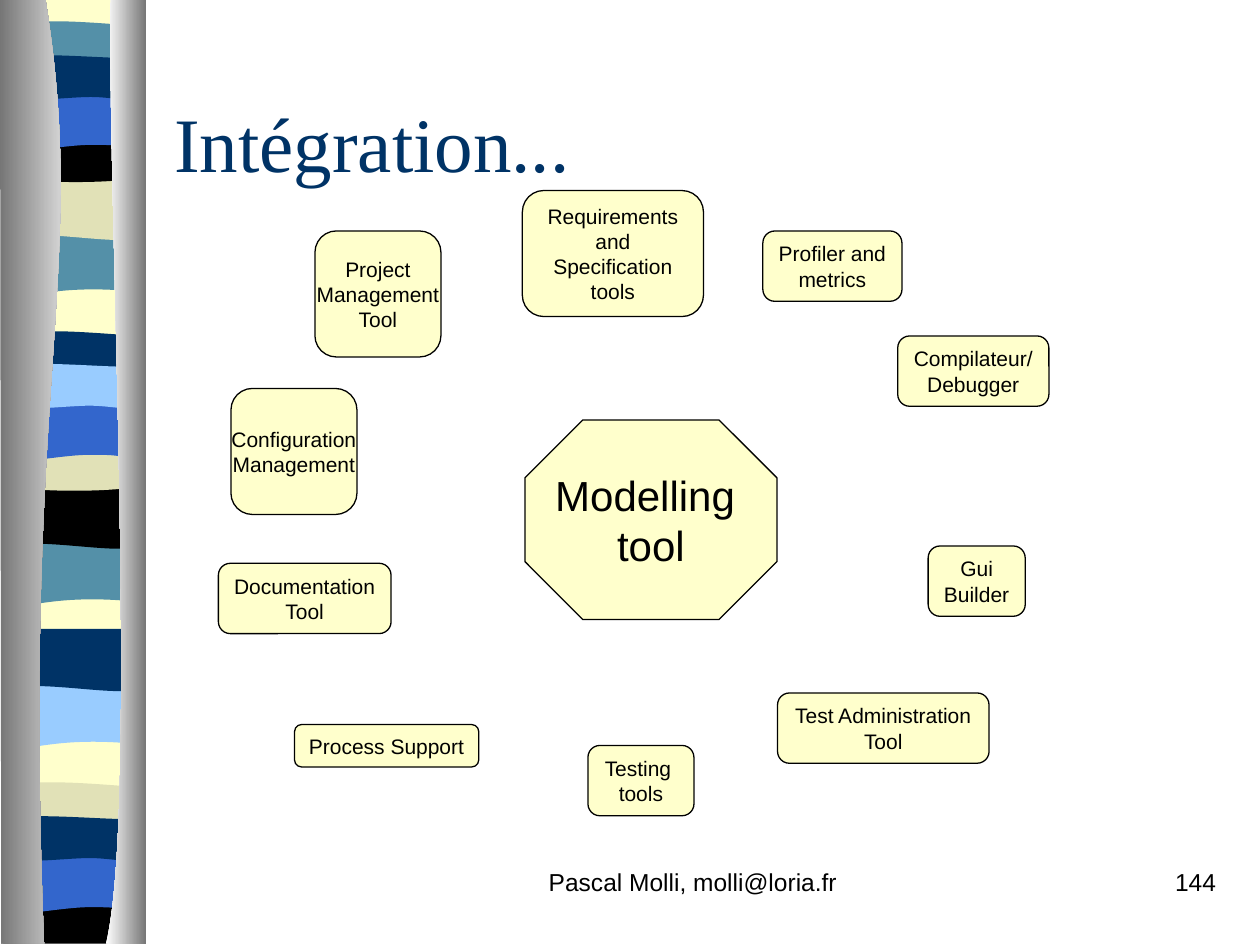
from pptx import Presentation
from pptx.dml.color import RGBColor
from pptx.enum.shapes import MSO_SHAPE as Shape
from pptx.enum.text import MSO_ANCHOR as Anchor, PP_ALIGN as Align
from pptx.oxml.ns import qn
from pptx.util import Inches, Pt

WIDTH, HEIGHT = Inches(10), Inches(7.5)
COLUMN, ROW = WIDTH / 120, HEIGHT / 90
FINE = WIDTH / 1000

COLORS = {
    "cream": "FFFFCC", "teal": "5490A8", "sand": "E1E1B7", "black": "000000",
    "blue": "3366CC", "navy": "003366", "sky": "99CCFF", "gray": "767676", "white": "FFFFFF",
}

BAND_OUTLINES = {
    "plain": [(108, 0), (108, 748), (0, 748), (0, 0)],
    "wave": [(108, 0), (108, 47), (33, 39, 18, 55, 0, 47), (0, 0)],
    "hollow": [(108, 0), (108, 47), (90, 55, 33, 41, 0, 47), (0, 0)],
    "cap": [(108, 5), (108, 29), (90, 33, 18, 33, 0, 29), (0, 5),
            (6, 0, 23, 1, 41, 1), (59, 1, 94, 4, 108, 5)],
    "sag": [(108, 0), (108, 32), (90, 38, 18, 38, 0, 32), (0, 0), (66, 5, 85, 0, 108, 0)],
    "base": [(108, 0), (108, 37), (0, 37), (0, 0), (66, 5, 85, 0, 108, 0)],
    "arch": [(108, 0), (108, 47), (91, 41, 84, 41, 66, 41), (48, 41, 16, 47, 0, 47), (0, 0)],
    "ripple": [(108, 5), (108, 36), (101, 41, 84, 36, 66, 36), (48, 36, 11, 41, 0, 36),
               (0, 5), (15, 0, 73, 5, 91, 5), (109, 5, 104, 5, 108, 5)],
}

BANDS = [
    ("plain", "cream", 6, -1), ("wave", "teal", 6, 185), ("hollow", "sand", 6, 141),
    ("cap", "teal", 6, 16), ("sag", "black", 6, 108), ("arch", "blue", 6, 74),
    ("ripple", "navy", 6, 41), ("wave", "teal", 5, 431), ("hollow", "black", 5, 386),
    ("cap", "navy", 5, 262), ("sag", "sand", 5, 353), ("arch", "blue", 5, 320),
    ("ripple", "sky", 5, 286), ("wave", "sky", 6, 544), ("hollow", "navy", 6, 499),
    ("cap", "sand", 5, 620), ("base", "black", 5, 712), ("arch", "blue", 5, 679),
    ("ripple", "navy", 5, 645),
]

PILLARS = [
    ([(36, -1), (71, 216, 17, 296, 35, 749), (1, 749), (0, -1)], "gray", "white"),
    ([(88, -1), (84, 125, 111, 646, 84, 749), (116, 749), (116, 0)], "white", "gray"),
]

TOOLS = [
    (("Project", "Management", "Tool"), 30, 22, 12, 12),
    (("Configuration", "Management"), 22, 37, 12, 12),
    (("Documentation", "Tool"), 20.8, 53.65, 16.45, 6.7),
    (("Process Support",), 28.05, 69, 17.55, 4.05),
    (("Testing ", "tools"), 56, 71, 10.1, 6.7),
    (("Test Administration", "Tool"), 74.05, 66, 20.15, 6.7),
    (("Gui", "Builder"), 88.4, 52, 9.25, 6.7),
    (("Compilateur/", "Debugger"), 85.5, 32, 14.4, 6.7),
    (("Profiler and", "metrics"), 72.65, 22, 13.25, 6.7),
    (("Requirements", "and", "Specification", "tools"), 49.75, 18.15, 17.25, 12),
]


def color(name):
    """Return the named colour."""
    return RGBColor.from_string(COLORS[name])


def grid_box(left, top, width, height):
    """Turn grid columns and rows into slide lengths."""
    return round(left * COLUMN), round(top * ROW), round(width * COLUMN), round(height * ROW)


def bend_curves(shape, outline):
    """Join each three lines that stand for a curve into one cubic curve."""
    lines = iter(list(shape.element.iter(qn("a:lnTo"))))
    for segment in outline[1:]:
        line = next(lines)
        if len(segment) == 6:
            curve = line.makeelement(qn("a:cubicBezTo"), {})
            line.addprevious(curve)
            for part in (line, next(lines), next(lines)):
                curve.append(part[0])
                part.getparent().remove(part)


def add_outline(slide, outline, left=0, top=0):
    """Draw a closed outline of points and cubic curves, without a line."""
    points = [(round((x + left) * FINE), round((y + top) * FINE))
              for segment in outline for x, y in zip(segment[::2], segment[1::2])]
    builder = slide.shapes.build_freeform(*points[0])
    builder.add_line_segments(points[1:], close=True)
    shape = builder.convert_to_shape()
    bend_curves(shape, outline)
    shape.shadow.inherit = False
    shape.line.fill.background()
    return shape


def add_band(slide, kind, fill, left, top):
    """Draw one coloured band of the ribbon."""
    shape = add_outline(slide, BAND_OUTLINES[kind], left, top)
    shape.fill.solid()
    shape.fill.fore_color.rgb = color(fill)


def add_pillar(slide, outline, first, last):
    """Draw a pillar shaded from left to right."""
    fill = add_outline(slide, outline).fill
    fill.gradient()
    fill.gradient_angle = 0
    for stop, name, position in zip(fill.gradient_stops, (first, last), (0, 1)):
        stop.color.rgb = color(name)
        stop.position = position


def write(shape, lines, size, align, font="Arial", ink="black", anchor=Anchor.MIDDLE, wrap=True):
    """Write one paragraph for each line."""
    frame = shape.text_frame
    frame.word_wrap = wrap
    frame.vertical_anchor = anchor
    frame.text = "\n".join(lines)
    for paragraph in frame.paragraphs:
        paragraph.alignment = align
        paragraph.font.name = font
        paragraph.font.size = Pt(size)
        paragraph.font.color.rgb = color(ink)


def add_label(slide, text, box, size, align, **style):
    """Add a text box with one line."""
    write(slide.shapes.add_textbox(*grid_box(*box)), [text], size, align, **style)


def add_tool(slide, kind, corner, lines, box, size):
    """Add an outlined cream shape with centred text."""
    shape = slide.shapes.add_shape(kind, *grid_box(*box))
    shape.adjustments[0] = corner
    shape.shadow.inherit = False
    shape.fill.solid()
    shape.fill.fore_color.rgb = color("cream")
    shape.line.color.rgb = color("black")
    shape.line.width = Pt(0.75)
    write(shape, lines, size, Align.CENTER, wrap=False)


def main():
    """Build the slide."""
    presentation = Presentation()
    presentation.slide_width, presentation.slide_height = WIDTH, HEIGHT
    slide = presentation.slides.add_slide(presentation.slide_layouts[6])
    for band in BANDS:
        add_band(slide, *band)
    for pillar in PILLARS:
        add_pillar(slide, *pillar)
    add_label(slide, "Intégration...", (15.4, 6, 102, 15), 44, Align.LEFT,
              font="Times New Roman", ink="navy")
    add_tool(slide, Shape.OCTAGON, 0.29, ("Modelling ", "tool"), (50, 40, 24, 19), 24)
    for lines, *box in TOOLS:
        add_tool(slide, Shape.ROUNDED_RECTANGLE, 0.17, lines, box, 12)
    add_label(slide, "Pascal Molli, molli@loria.fr", (47, 82, 38, 6), 14, Align.CENTER, anchor=Anchor.TOP)
    add_label(slide, "144", (92, 82, 25, 6), 14, Align.RIGHT, anchor=Anchor.TOP)
    presentation.save("out.pptx")


if __name__ == "__main__":
    main()
